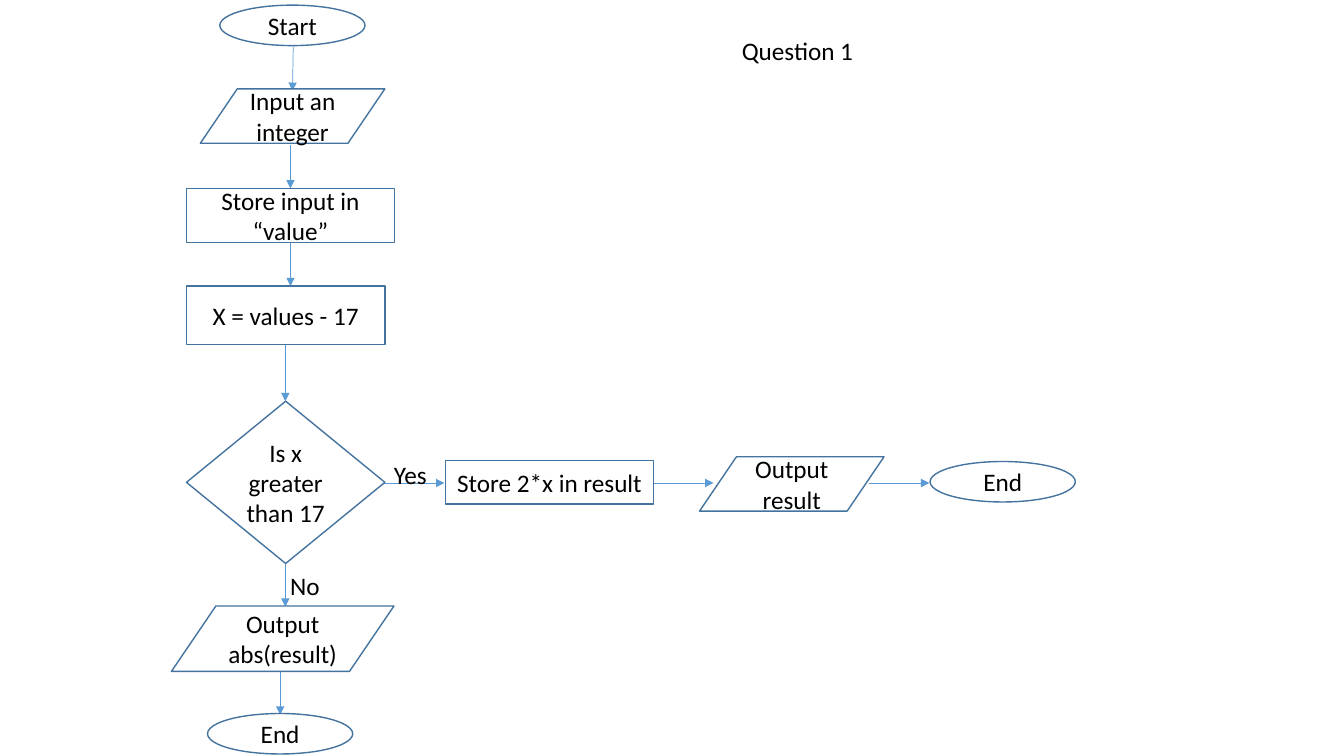
"""Build the flowchart slide for Question 1."""
from lxml.etree import SubElement
from pptx import Presentation
from pptx.dml.color import RGBColor
from pptx.enum.shapes import MSO_CONNECTOR, MSO_SHAPE
from pptx.enum.text import MSO_ANCHOR, PP_ALIGN
from pptx.oxml.ns import qn
from pptx.util import Cm, Pt


def color(hex_string):
    return RGBColor.from_string(hex_string)


def write(shape, text, align, anchor, wrap=True):
    frame = shape.text_frame
    frame.word_wrap = wrap
    frame.vertical_anchor = anchor
    para = frame.paragraphs[0]
    para.alignment = align
    span = para.add_run()
    span.text = text
    span.font.name = "Calibri"
    span.font.size = Pt(18)
    span.font.color.rgb = color("000000")


deck = Presentation()
deck.slide_width, deck.slide_height = Cm(33.87), Cm(19.05)
page = deck.slides.add_slide(deck.slide_layouts[5])

title = page.shapes.title
title.left, title.top, title.width, title.height = Cm(18.44), Cm(0.76), Cm(10.95), Cm(1.02)
write(title, "Question 1", PP_ALIGN.LEFT, MSO_ANCHOR.TOP)

row_y = 12.17
arrows = [
    (7.39, 1.19, 7.37, 2.29),
    (7.32, 3.66, 7.32, 4.75),
    (7.32, 6.12, 7.32, 7.21),
    (7.19, 8.66, 7.19, 10.11),
    (7.19, 14.2, 7.19, 15.29),
    (7.06, 16.92, 7.06, 18.01),
    (9.68, row_y, 11.2, row_y),
    (16.46, row_y, 17.98, row_y),
    (21.89, row_y, 23.42, row_y),
]
for ends in arrows:
    arrow = page.shapes.add_connector(MSO_CONNECTOR.STRAIGHT, *map(Cm, ends))
    arrow.line.color.rgb = color("5B9BD5")
    arrow.line.width = Pt(0.5)
    SubElement(arrow.line._get_or_add_ln(), qn("a:tailEnd"), type="triangle")
    SubElement(arrow._element.spPr, qn("a:effectLst"))

terminal, data = MSO_SHAPE.OVAL, MSO_SHAPE.FLOWCHART_DATA
process, decision = MSO_SHAPE.RECTANGLE, MSO_SHAPE.FLOWCHART_DECISION
steps = [
    (terminal, "Start", 5.54, 0.13, 3.66, 1.02),
    (data, "Input an integer", 5.05, 2.24, 4.65, 1.37),
    (process, "Store input in “value”", 4.7, 4.75, 5.24, 1.37),
    (process, "X = values - 17", 4.7, 7.21, 5, 1.47),
    (decision, "Is x greater than 17", 4.7, 10.11, 5, 4.09),
    (data, "Output abs(result)", 4.32, 15.27, 5.61, 1.65),
    (terminal, "End", 5.23, 17.98, 3.66, 1.02),
    (process, "Store 2*x in result", 11.23, 11.61, 5.24, 1.09),
    (data, "Output result", 17.63, 11.51, 4.65, 1.37),
    (terminal, "End", 23.44, 11.63, 3.66, 1.02),
]
for kind, text, *place in steps:
    step = page.shapes.add_shape(kind, *map(Cm, place))
    step.shadow.inherit = False
    step.fill.solid()
    step.fill.fore_color.rgb = color("FFFFFF")
    step.line.color.rgb = color("43739E")
    step.line.width = Pt(1)
    write(step, text, PP_ALIGN.CENTER, MSO_ANCHOR.MIDDLE)

for answer, left, top, wrap in [("Yes", 9.68, 11.46, False), ("No", 7.06, 14.25, True)]:
    box = page.shapes.add_textbox(Cm(left), Cm(top), Cm(1.35), Cm(1.02))
    write(box, answer, PP_ALIGN.LEFT, MSO_ANCHOR.TOP, wrap)

deck.save("out.pptx")
